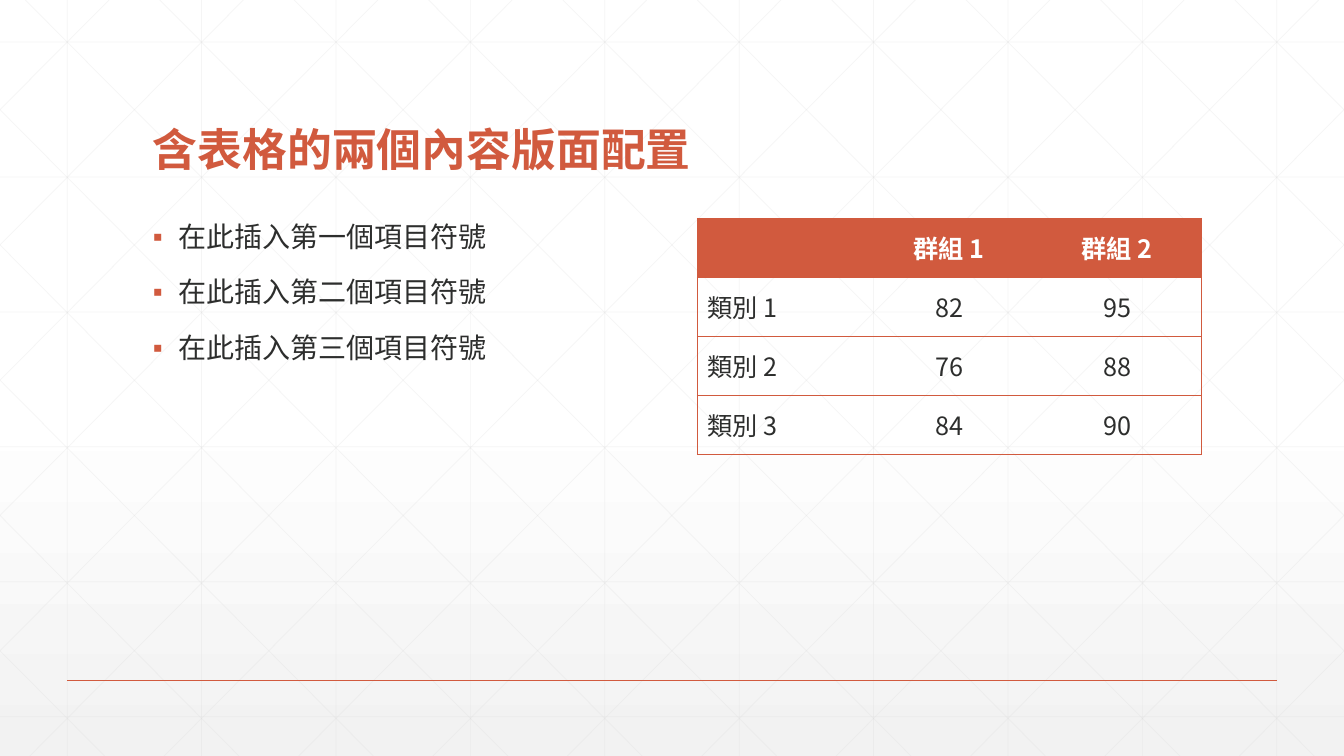
"""Build a slide with a bulleted list and a small table over a pale line lattice."""
from dataclasses import dataclass

from lxml.etree import SubElement
from pptx import Presentation
from pptx.dml.color import RGBColor
from pptx.enum.shapes import MSO_CONNECTOR as Connector
from pptx.enum.text import MSO_ANCHOR as Anchor, MSO_AUTO_SIZE as AutoSize, PP_ALIGN as Align
from pptx.oxml.ns import qn
from pptx.util import Cm, Pt

WIDTH, HEIGHT = 33.87, 19.05
STEP = WIDTH / 10
ROW_STEP = 3.4
DIAGONAL_START, DIAGONAL_RUN = 0.64, 18.93
FONT = "Noto Sans CJK TC"
ACCENT, INK, WHITE, PALE, LATTICE = "D15A3E", "2D2E2D", "FFFFFF", "F2F2F2", "D9D9D9"
TITLE = "含表格的兩個內容版面配置"
BULLETS = ["在此插入第一個項目符號", "在此插入第二個項目符號", "在此插入第三個項目符號"]
ROWS = [
    ["", "群組 1", "群組 2"],
    ["類別 1", "82", "95"],
    ["類別 2", "76", "88"],
    ["類別 3", "84", "90"],
]


@dataclass
class Line:
    x1: float
    y1: float
    x2: float
    y2: float
    color: str = LATTICE
    width: float = 0.5
    opacity: int = 25


@dataclass
class TextStyle:
    size: float
    color: str
    bold: bool = False


def rgb(color: str) -> RGBColor:
    return RGBColor.from_string(color)


def lattice_lines() -> list[Line]:
    uprights = [Line(x, 0, x, HEIGHT) for x in (STEP * (k + 0.5) for k in range(10))]
    levels = [Line(0, y, WIDTH, y) for y in (1.06 + ROW_STEP * k for k in range(6))]
    slope = HEIGHT / DIAGONAL_RUN
    falling = []
    for k in range(-5, 10):
        top = DIAGONAL_START + STEP * k
        left, right = max(top, 0), min(top + DIAGONAL_RUN, WIDTH)
        falling.append(Line(left, (left - top) * slope, right, (right - top) * slope))
    rising = [Line(WIDTH - d.x1, d.y1, WIDTH - d.x2, d.y2) for d in falling]
    return uprights + levels + falling + rising


def draw_line(slide, line: Line) -> None:
    connector = slide.shapes.add_connector(
        Connector.STRAIGHT, Cm(line.x1), Cm(line.y1), Cm(line.x2), Cm(line.y2))
    connector.line.color.rgb = rgb(line.color)
    connector.line.width = Pt(line.width)
    properties = connector._element.spPr
    if line.opacity < 100:
        color = properties.find(f".//{qn('a:srgbClr')}")
        SubElement(color, qn("a:alpha"), val=str(line.opacity * 1000))
    SubElement(properties, qn("a:effectLst"))


def style_paragraph(paragraph, style: TextStyle, align: Align = Align.LEFT) -> None:
    paragraph.alignment = align
    font = paragraph.font
    font.size, font.bold, font.name = Pt(style.size), style.bold, FONT
    font.color.rgb = rgb(style.color)
    SubElement(font._element, qn("a:ea"), typeface=FONT)


def add_bullet(paragraph) -> None:
    properties = paragraph._p.get_or_add_pPr()
    properties.set("marL", str(Cm(0.64)))
    properties.set("indent", str(-Cm(0.64)))
    color = SubElement(properties, qn("a:buClr"))
    SubElement(color, qn("a:srgbClr"), val=ACCENT)
    SubElement(properties, qn("a:buChar"), char="▪")


def place(shape, left: float, top: float, width: float, height: float) -> None:
    shape.left, shape.top = Cm(left), Cm(top)
    shape.width, shape.height = Cm(width), Cm(height)


def paint_background(slide) -> None:
    fill = slide.background.fill
    fill.gradient()
    fill.gradient_angle = 270
    for stop, position, color in zip(fill.gradient_stops, (0.53, 1), (WHITE, PALE)):
        stop.position = position
        stop.color.rgb = rgb(color)


def fill_title(title) -> None:
    place(title, 3.6, 1.4, 26.67, 3.18)
    frame = title.text_frame
    frame.text = TITLE
    frame.auto_size, frame.vertical_anchor = AutoSize.NONE, Anchor.BOTTOM
    paragraph = frame.paragraphs[0]
    paragraph.line_spacing = 0.9
    style_paragraph(paragraph, TextStyle(32, ACCENT, True))


def fill_body(body) -> None:
    place(body, 3.6, 5.5, 12.7, 10.58)
    frame = body.text_frame
    frame.text = "\n".join(BULLETS)
    frame.auto_size = AutoSize.NONE
    for paragraph in frame.paragraphs:
        add_bullet(paragraph)
        paragraph.line_spacing = 0.9
        paragraph.space_before = Pt(18)
        style_paragraph(paragraph, TextStyle(20, INK))


def set_borders(cell, sides: dict[str, bool]) -> None:
    properties = cell._tc.get_or_add_tcPr()
    for side, visible in sides.items():
        border = SubElement(properties, qn(f"a:ln{side}"), w=str(Pt(0.5)))
        if visible:
            fill = SubElement(border, qn("a:solidFill"))
            SubElement(fill, qn("a:srgbClr"), val=ACCENT)
        else:
            SubElement(border, qn("a:noFill"))


def draw_table(slide) -> None:
    last = len(ROWS[0]) - 1
    table = slide.shapes.add_table(
        len(ROWS), last + 1, Cm(17.57), Cm(5.5), Cm(12.7), Cm(5.95)).table
    for row, texts in enumerate(ROWS):
        for column, text in enumerate(texts):
            cell = table.cell(row, column)
            cell.text = text
            cell.vertical_anchor = Anchor.MIDDLE
            set_borders(cell, {"L": column == 0, "R": column == last, "T": True, "B": True})
            if row == 0:
                cell.fill.solid()
                cell.fill.fore_color.rgb = rgb(ACCENT)
            else:
                cell.fill.background()
            style = TextStyle(18, INK) if row else TextStyle(18, WHITE, True)
            style_paragraph(cell.text_frame.paragraphs[0], style,
                            Align.CENTER if column else Align.LEFT)


def main() -> None:
    presentation = Presentation()
    presentation.slide_width, presentation.slide_height = Cm(WIDTH), Cm(HEIGHT)
    slide = presentation.slides.add_slide(presentation.slide_layouts[1])
    title, body = slide.placeholders
    paint_background(slide)
    for line in lattice_lines():
        draw_line(slide, line)
    draw_line(slide, Line(STEP / 2, 17.15, WIDTH - STEP / 2, 17.15, ACCENT, 1, 100))
    fill_title(title)
    fill_body(body)
    for placeholder in (title, body):
        slide.shapes._spTree.append(placeholder._element)
    draw_table(slide)
    presentation.save("out.pptx")


if __name__ == "__main__":
    main()
